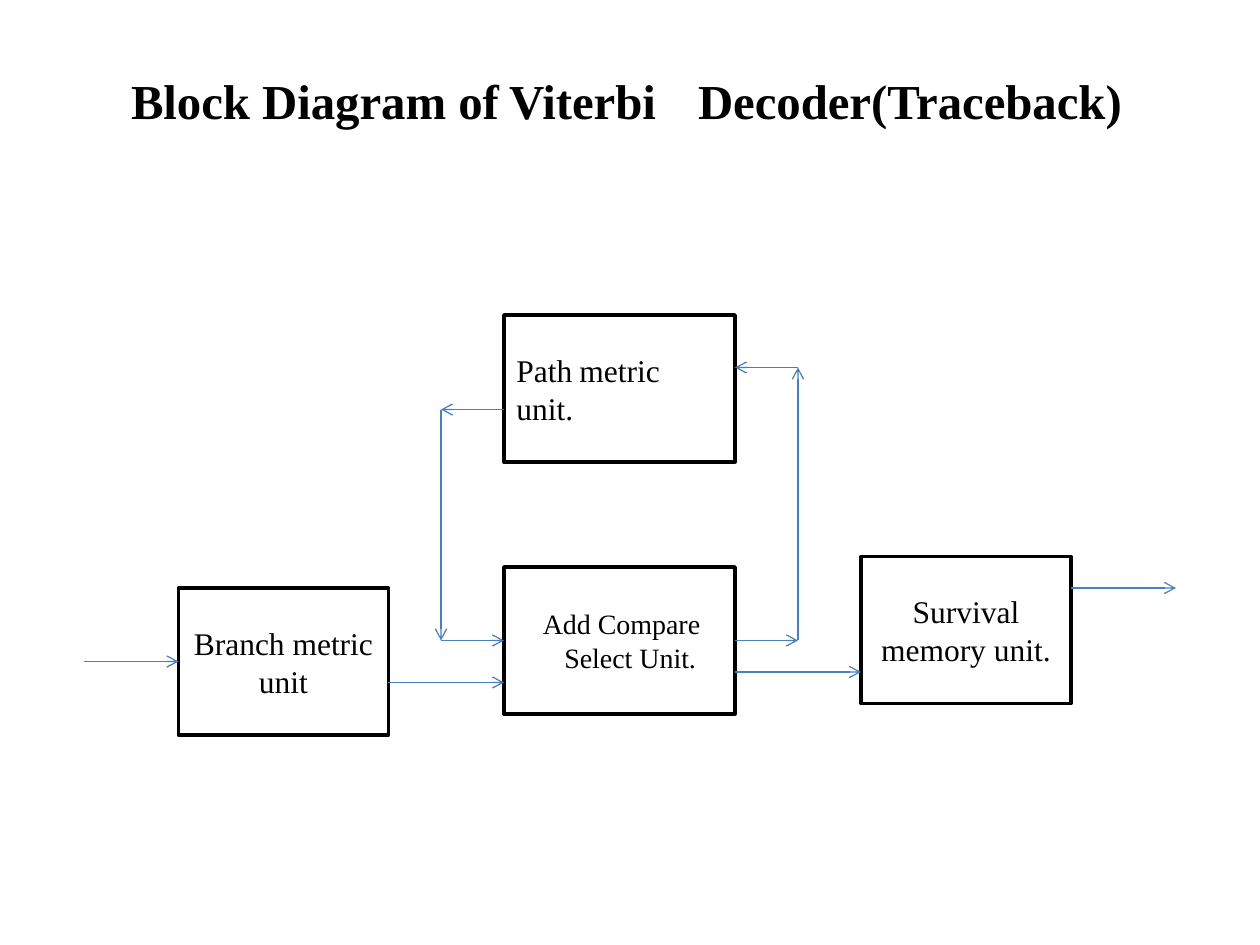
from dataclasses import dataclass

from lxml import etree
from pptx import Presentation
from pptx import util as u
from pptx.dml.color import RGBColor
from pptx.enum import shapes, text
from pptx.oxml.ns import qn


@dataclass(frozen=True)
class Theme:
    font: str = "Times New Roman"
    ink: RGBColor = RGBColor(0, 0, 0)
    paper: RGBColor = RGBColor(255, 255, 255)
    signal: RGBColor = RGBColor(0x4B, 0x7E, 0xBC)
    title_size: float = 27.9
    unit_size: float = 18
    compare_size: float = 16
    border: float = 2
    wire: float = 0.75


theme = Theme()
deck = Presentation()
deck.slide_width, deck.slide_height = u.Inches(10), u.Inches(7.5)
slide = deck.slides.add_slide(deck.slide_layouts[6])
CELL = deck.slide_width // 120  # the slide is a grid of 120 columns by 90 rows


def write(holder, words, size, align, bold=False, indent=(0, 0), tabs=()):
    """Fill one paragraph; indent (left, first line) and tabs are in inches."""
    frame = holder.text_frame
    frame.word_wrap = True
    frame.vertical_anchor = text.MSO_ANCHOR.MIDDLE
    paragraph = frame.paragraphs[0]
    paragraph.text = words
    paragraph.alignment = align
    properties = paragraph._p.get_or_add_pPr()
    left, first = indent
    properties.set("marL", str(u.Inches(left)))
    properties.set("indent", str(u.Inches(first)))
    if tabs:
        stops = etree.SubElement(properties, qn("a:tabLst"))
        for stop in tabs:
            etree.SubElement(stops, qn("a:tab"), pos=str(u.Inches(stop)), algn="l")
    font = paragraph.font
    font.name, font.size, font.bold = theme.font, u.Pt(size), bold
    font.color.rgb = theme.ink


LEFT, CENTER = text.PP_ALIGN.LEFT, text.PP_ALIGN.CENTER

title = slide.shapes.add_textbox(6 * CELL, 4 * CELL, 108 * CELL, 11 * CELL)
title.text_frame.margin_left = u.Inches(0.54)
write(title, "Block Diagram of\tViterbi\tDecoder(Traceback)", theme.title_size,
      LEFT, bold=True, tabs=(3.11, 4.66))

# Units: words, column, row, columns wide, type size, alignment, paragraph layout
UNIT_ROWS = 14
units = [
    ("Path\tmetric unit.", 48, 30, 22, theme.unit_size, LEFT, {"tabs": (0.72,)}),
    ("Add Compare Select Unit.", 48, 54, 22, theme.compare_size, LEFT,
     {"indent": (0.38, -0.17)}),
    ("Survival memory unit.", 82, 53, 20, theme.unit_size, CENTER, {}),
    ("Branch metric unit", 17, 56, 20, theme.unit_size, CENTER, {}),
]
for words, column, row, width, size, align, layout in units:
    unit = slide.shapes.add_shape(
        shapes.MSO_SHAPE.RECTANGLE,
        column * CELL, row * CELL, width * CELL, UNIT_ROWS * CELL)
    unit.shadow.inherit = False
    unit.fill.solid()
    unit.fill.fore_color.rgb = theme.paper
    unit.line.color.rgb = theme.ink
    unit.line.width = u.Pt(theme.border)
    write(unit, words, size, align, **layout)

# Signal routes as (column, row) points; every leg ends in an arrowhead
routes = [
    [(70, 61), (76, 61), (76, 35), (70, 35)],  # compare to path metric
    [(70, 64), (82, 64)],                      # compare to survival memory
    [(48, 39), (42, 39), (42, 61), (48, 61)],  # path metric to compare
    [(37, 65), (48, 65)],                      # branch metric to compare
    [(8, 63), (17, 63)],                       # input
    [(102, 56), (112, 56)],                    # output
]
for route in routes:
    for start, end in zip(route, route[1:]):
        leg = slide.shapes.add_connector(
            shapes.MSO_CONNECTOR.STRAIGHT,
            *(position * CELL for position in start + end))
        leg.line.color.rgb = theme.signal
        leg.line.width = u.Pt(theme.wire)
        etree.SubElement(leg.line._get_or_add_ln(), qn("a:tailEnd"), type="arrow")
        etree.SubElement(leg._element.spPr, qn("a:effectLst"))

deck.save("out.pptx")
